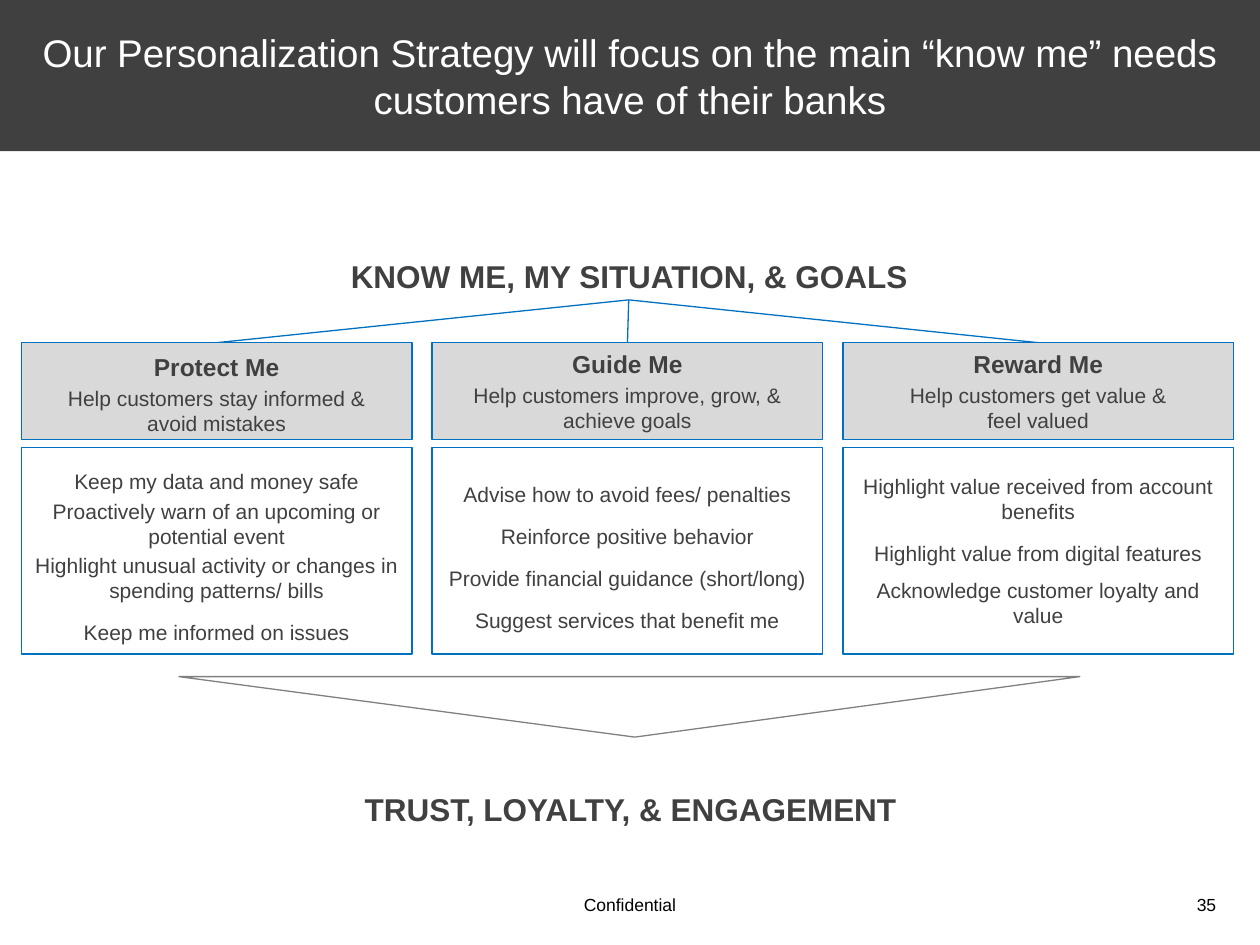
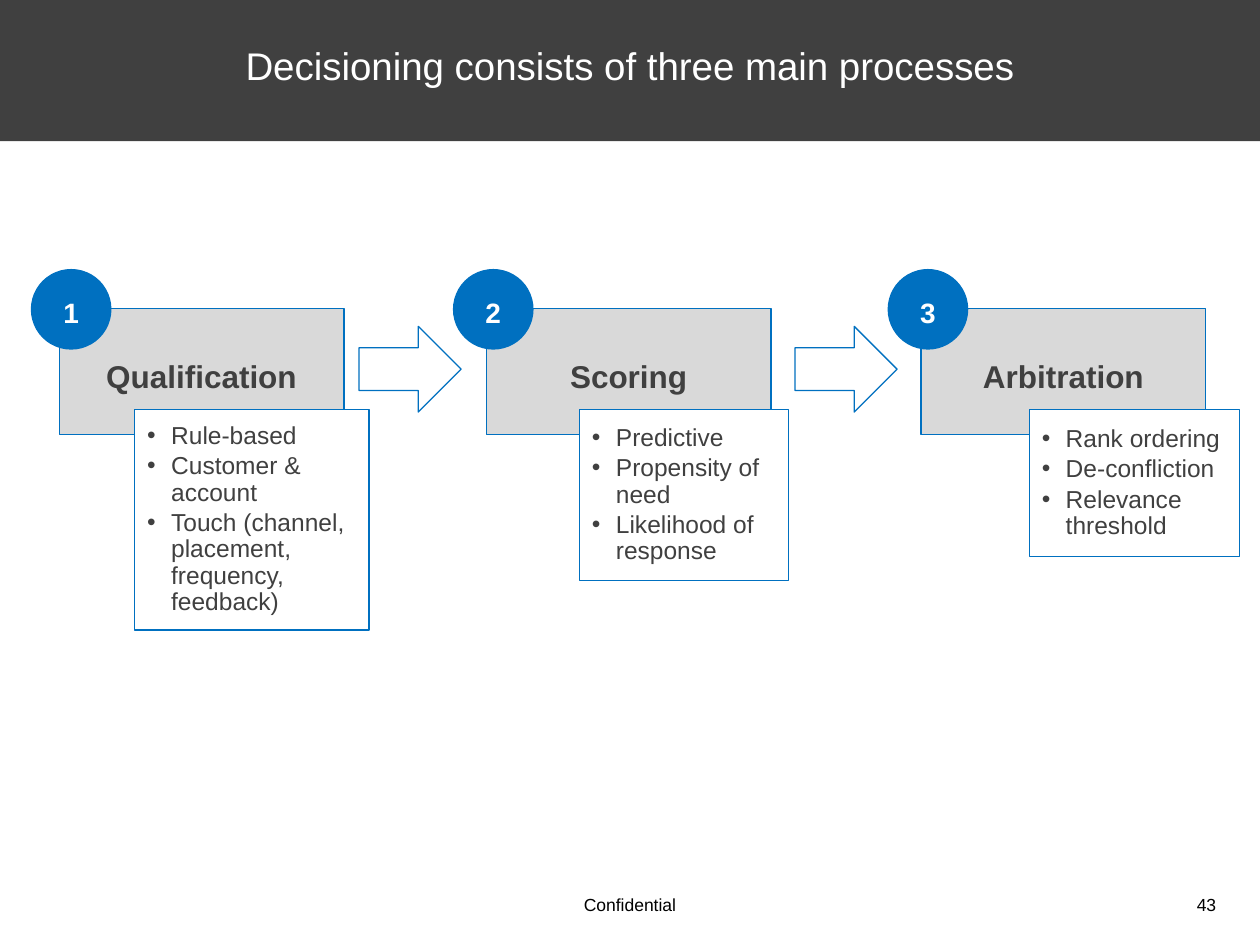
from dataclasses import dataclass

from lxml.etree import SubElement
from pptx import Presentation
from pptx.dml.color import RGBColor
from pptx.enum.shapes import MSO_CONNECTOR, MSO_SHAPE as Shape
from pptx.enum.text import MSO_ANCHOR as Anchor, PP_ALIGN as Align
from pptx.oxml.ns import qn
from pptx.util import Inches, Pt


@dataclass(frozen=True)
class Theme:
    font: str = "Arial"
    dark: str = "404040"
    blue: str = "0070C0"
    panel: str = "D9D9D9"
    gray: str = "808080"
    white: str = "FFFFFF"
    black: str = "000000"
    title: int = 22
    heading: int = 18
    number: int = 16
    subhead: int = 14
    body: int = 12
    footer: int = 10
    line: float = 0.75


THEME = Theme()

# Content: needs slide; each customer wish is (text, line spacing, space before)
FOOTER = "Confidential"
NEEDS_TITLE = ("Our Personalization Strategy will focus on the main “know me” "
               "needs customers have of their banks")
NEEDS_TOP = "KNOW ME, MY SITUATION, & GOALS"
NEEDS_RESULT = "TRUST, LOYALTY, & ENGAGEMENT"
NEEDS = [
    ("Protect Me", 1.2, ["Help customers stay informed &", "avoid mistakes"], [
        ("Keep my data and money safe", 1.5, 0),
        ("Proactively warn of an upcoming or potential event", 1, 2.4),
        ("Highlight unusual activity or changes in spending patterns/ bills", 1, 2.4),
        ("Keep me informed on issues", 1.5, 2.4),
    ]),
    ("Guide Me", 1, ["Help customers improve, grow, & achieve goals"], [
        ("Advise how to avoid fees/ penalties", 1.5, 0),
        ("Reinforce positive behavior", 1.5, 2.4),
        ("Provide financial guidance (short/long)", 1.5, 2.4),
        ("Suggest services that benefit me", 1.5, 2.4),
    ]),
    ("Reward Me", 1, ["Help customers get value &", "feel valued"], [
        ("Highlight value received from account benefits", 1, 0),
        ("Highlight value from digital features", 1.5, 2.4),
        ("Acknowledge customer loyalty and value", 1, 6.4),
    ]),
]

# Content: process slide; left edge of the step, then left, width, height of its details
PROCESS_TITLE = "Decisioning consists of three main processes"
PROCESSES = [
    ("Qualification", 0.47, (1.07, 1.86, 1.75),
     ["Rule-based", "Customer & account",
      "Touch (channel, placement, frequency, feedback)"]),
    ("Scoring", 3.86, (4.6, 1.66, 1.36),
     ["Predictive", "Propensity of need", "Likelihood of response"]),
    ("Arbitration", 7.31, (8.17, 1.67, 1.17),
     ["Rank ordering", "De-confliction", "Relevance threshold"]),
]
ARROW_LEFTS = [2.85, 6.31]


def color(value):
    return RGBColor.from_string(value)


def write(frame, index, lines, size, ink=THEME.dark, bold=False,
          align=Align.CENTER, spacing=1.0, before=0, after=0, bullet=False):
    """Fill paragraph number index; several lines are parted by line breaks."""
    paragraph = frame.paragraphs[0] if index == 0 else frame.add_paragraph()
    if bullet:
        props = paragraph._p.get_or_add_pPr()
        props.set("marL", str(Inches(0.19)))
        props.set("indent", str(-Inches(0.19)))
        SubElement(props, qn("a:buFont")).set("typeface", THEME.font)
        SubElement(props, qn("a:buChar")).set("char", "•")
    paragraph.alignment = align
    paragraph.line_spacing = spacing
    if before:
        paragraph.space_before = Pt(before)
    if after:
        paragraph.space_after = Pt(after)
    for number, line in enumerate(lines):
        if number:
            paragraph.add_line_break()
        run = paragraph.add_run()
        run.text = line
        run.font.name = THEME.font
        run.font.size = Pt(size)
        run.font.bold = bold
        run.font.color.rgb = color(ink)


def add_block(slide, kind, box, fill=None, line=THEME.blue):
    block = slide.shapes.add_shape(kind, *map(Inches, box))
    block.shadow.inherit = False
    if fill:
        block.fill.solid()
        block.fill.fore_color.rgb = color(fill)
    else:
        block.fill.background()
    if line:
        block.line.color.rgb = color(line)
        block.line.width = Pt(THEME.line)
    else:
        block.line.fill.background()
    block.text_frame.word_wrap = True
    block.text_frame.vertical_anchor = Anchor.MIDDLE
    return block


def add_label(slide, box, text, size, wrap=True, **style):
    frame = slide.shapes.add_textbox(*map(Inches, box)).text_frame
    frame.word_wrap = wrap
    write(frame, 0, [text], size, **style)


def add_branch(slide, start, end):
    branch = slide.shapes.add_connector(
        MSO_CONNECTOR.STRAIGHT, *map(Inches, start + end))
    branch.line.color.rgb = color(THEME.blue)
    branch.line.width = Pt(THEME.line)
    SubElement(branch._element.spPr, qn("a:effectLst"))


def start_slide(deck, title, page, band_top=0):
    """New slide with title band, footer and page number."""
    slide = deck.slides.add_slide(deck.slide_layouts[6])
    band = add_block(slide, Shape.RECTANGLE, (0, band_top, 10, 1.2),
                     THEME.dark, line=None).text_frame
    band.margin_left = band.margin_right = Inches(0.15)
    band.margin_top = band.margin_bottom = Inches(0.1)
    write(band, 0, [title], THEME.title, THEME.white)
    add_label(slide, (2, 7.05, 6, 0.27), FOOTER, THEME.footer, ink=THEME.black)
    add_label(slide, (9.3, 7.05, 0.45, 0.27), page, THEME.footer,
              ink=THEME.black, align=Align.RIGHT)
    return slide


def build_needs(deck):
    slide = start_slide(deck, NEEDS_TITLE, "35")
    left, step, width = 0.17, 3.26, 3.1
    hub = (4.99, 2.38)
    add_label(slide, (2.66, 1.93, 4.67, 0.46), NEEDS_TOP, THEME.heading,
              wrap=False, bold=True, spacing=1.2)

    # One column per need, joined to the heading
    for column, (need, spacing, promise, wishes) in enumerate(NEEDS):
        x = left + column * step
        add_branch(slide, hub, (x + width / 2, 2.72))
        head = add_block(slide, Shape.RECTANGLE, (x, 2.72, width, 0.77),
                         THEME.panel).text_frame
        write(head, 0, [need], THEME.subhead, bold=True, spacing=spacing)
        write(head, 1, promise, THEME.body, before=2.4)
        wish_list = add_block(slide, Shape.RECTANGLE,
                              (x, 3.55, width, 1.64)).text_frame
        for row, (wish, wish_spacing, before) in enumerate(wishes):
            write(wish_list, row, [wish], THEME.body,
                  spacing=wish_spacing, before=before)

    # Funnel to the result
    funnel = add_block(slide, Shape.ISOSCELES_TRIANGLE,
                       (1.42, 5.37, 7.15, 0.48), line=THEME.gray)
    funnel.adjustments[0] = 0.494
    funnel.rotation = 180
    add_label(slide, (2.77, 6.16, 4.47, 0.46), NEEDS_RESULT, THEME.heading,
              wrap=False, bold=True, spacing=1.2)


def build_processes(deck):
    slide = start_slide(deck, PROCESS_TITLE, "43", band_top=-0.08)
    for number, (process, x, detail_box, details) in enumerate(PROCESSES, 1):
        step = add_block(slide, Shape.RECTANGLE, (x, 2.45, 2.26, 1), THEME.panel)
        write(step.text_frame, 0, [process], THEME.heading, bold=True, spacing=1.2)

        detail_left, width, height = detail_box
        detail_list = add_block(slide, Shape.RECTANGLE,
                                (detail_left, 3.25, width, height),
                                THEME.white).text_frame
        for row, detail in enumerate(details):
            write(detail_list, row, [detail], THEME.subhead, align=Align.LEFT,
                  spacing=0.9, after=2.1, bullet=True)

        badge_left = x - (0.22 if number == 1 else 0.26)
        badge = add_block(slide, Shape.OVAL, (badge_left, 2.14, 0.63, 0.63),
                          THEME.blue)
        write(badge.text_frame, 0, [str(number)], THEME.number, THEME.white,
              bold=True, spacing=1.2)

    # Arrows between the steps
    for x in ARROW_LEFTS:
        add_block(slide, Shape.RIGHT_ARROW, (x, 2.59, 0.81, 0.68), THEME.white)


def main():
    deck = Presentation()
    deck.slide_width, deck.slide_height = Inches(10), Inches(7.5)
    build_needs(deck)
    build_processes(deck)
    deck.save("out.pptx")


if __name__ == "__main__":
    main()
